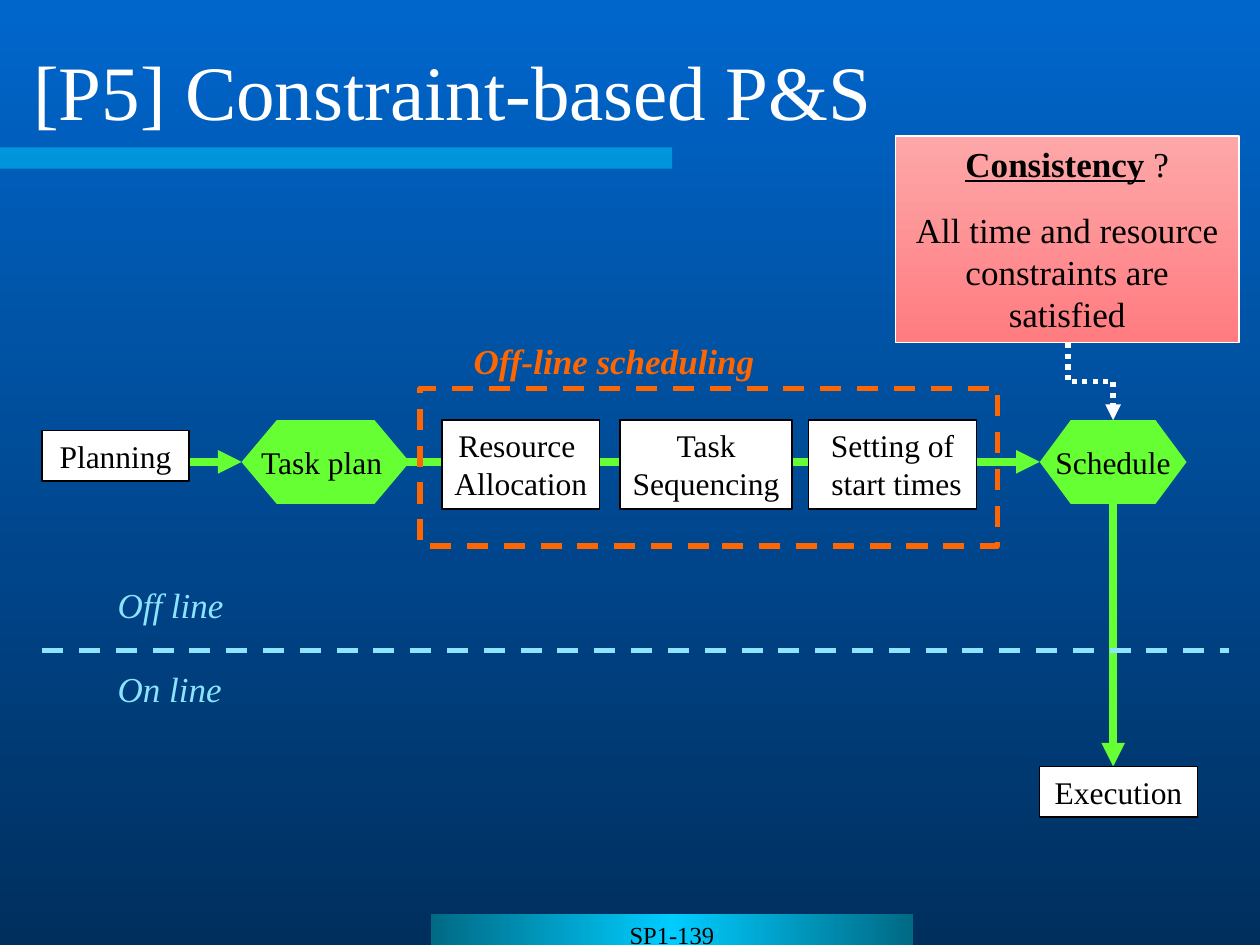
from copy import deepcopy
from dataclasses import dataclass

from lxml import etree
from pptx import Presentation
from pptx.dml.color import RGBColor
from pptx.enum.dml import MSO_LINE
from pptx.enum.shapes import MSO_CONNECTOR, MSO_SHAPE
from pptx.enum.text import MSO_ANCHOR, PP_ALIGN
from pptx.oxml.ns import qn
from pptx.util import Cm, Pt

RECT, HEXAGON = MSO_SHAPE.RECTANGLE, MSO_SHAPE.HEXAGON
STRAIGHT, ELBOW = MSO_CONNECTOR.STRAIGHT, MSO_CONNECTOR.ELBOW
DASH, DOTS = MSO_LINE.DASH, MSO_LINE.ROUND_DOT
LEFT, CENTER = PP_ALIGN.LEFT, PP_ALIGN.CENTER
TOP, MIDDLE = MSO_ANCHOR.TOP, MSO_ANCHOR.MIDDLE

FONT = "Times New Roman"
BLACK, WHITE = "000000", "FFFFFF"
GREEN, ORANGE, SKY, CYAN = "66FF33", "FF6600", "8DE4FF", "00CCFF"
FLOW_Y = 9.31
STEP_TOP, STEP_HEIGHT = 8.47, 1.79
LABEL_HEIGHT = 1.02


@dataclass(frozen=True)
class Area:
    left: float
    top: float
    width: float
    height: float

    def lengths(self) -> list:
        return [Cm(v) for v in (self.left, self.top, self.width, self.height)]


@dataclass(frozen=True)
class Activity:
    lines: tuple
    area: Area


@dataclass(frozen=True)
class Product:
    name: str
    area: Area
    slant: float


def rgb(value: str) -> RGBColor:
    return RGBColor.from_string(value)


def style(run, size: float, color: str, **formats) -> None:
    font = run.font
    font.name, font.size = FONT, Pt(size)
    font.color.rgb = rgb(color)
    for attribute, value in formats.items():
        setattr(font, attribute, value)


def write(shape, lines: tuple, size: float, color: str = BLACK, align=CENTER,
          anchor=TOP, wrap: bool = False, **formats) -> None:
    frame = shape.text_frame
    frame.word_wrap, frame.vertical_anchor = wrap, anchor
    for number, line in enumerate(lines):
        paragraph = frame.add_paragraph() if number else frame.paragraphs[0]
        paragraph.alignment = align
        run = paragraph.add_run()
        run.text = line
        style(run, size, color, **formats)


def set_gradient(fill, colors: tuple, angle: float) -> None:
    """Spread the colours evenly over the existing gradient stops."""
    fill.gradient_angle = angle
    for number, (stop, color) in enumerate(zip(fill.gradient_stops, colors)):
        stop.color.rgb = rgb(color)
        stop.position = number / (len(colors) - 1)


def add_block(slide, area: Area, kind=RECT, fill: str = "", line: str = "",
              width: float = 0.75):
    block = slide.shapes.add_shape(kind, *area.lengths())
    block.shadow.inherit = False
    if fill:
        block.fill.solid()
        block.fill.fore_color.rgb = rgb(fill)
    else:
        block.fill.background()
    if line:
        block.line.color.rgb = rgb(line)
        block.line.width = Pt(width)
    else:
        block.line.fill.background()
    return block


def add_activity(slide, activity: Activity) -> None:
    write(add_block(slide, activity.area, fill=WHITE, line=BLACK),
          activity.lines, 18)


def add_product(slide, product: Product) -> None:
    hexagon = add_block(slide, product.area, HEXAGON, GREEN)
    hexagon.adjustments[0] = product.slant
    write(hexagon, (product.name,), 18, anchor=MIDDLE)


def add_line(slide, start: tuple, end: tuple, color: str, width: float,
             kind=STRAIGHT, dash=None, arrow: bool = True):
    line = slide.shapes.add_connector(kind, *[Cm(v) for v in start + end])
    line.line.color.rgb = rgb(color)
    line.line.width = Pt(width)
    if dash is not None:
        line.line.dash_style = dash
    if arrow:
        etree.SubElement(line.line._get_or_add_ln(), qn("a:tailEnd"),
                         type="triangle")
    etree.SubElement(line._element.spPr, qn("a:effectLst"))
    return line


def add_label(slide, text: str, area: Area, size: float, color: str, **options):
    label = slide.shapes.add_textbox(*area.lengths())
    write(label, (text,), size, color, LEFT, **options)


def add_backdrop(slide) -> None:
    backdrop = slide.background.fill
    backdrop.gradient()
    set_gradient(backdrop, ("0066CC", "002F5E"), 270)

    title_bar = add_block(slide, Area(0, 2.97, 13.55, 0.43), fill=CYAN)
    bar_color = title_bar._element.spPr.find(".//" + qn("a:srgbClr"))
    etree.SubElement(bar_color, qn("a:alpha"), val="50000")

    footer = add_block(slide, Area(8.68, 18.42, 9.73, 0.63))
    footer.fill.gradient()
    stops = footer._element.spPr.find(".//" + qn("a:gsLst"))
    stops.append(deepcopy(stops[0]))
    set_gradient(footer.fill, ("006984", CYAN, "006984"), 180)
    write(footer, ("SP1-139",), 14)


def add_consistency_note(slide) -> None:
    note = add_block(slide, Area(18.05, 2.74, 6.93, 4.17), line=WHITE)
    note.fill.gradient()
    set_gradient(note.fill, ("FEA7A9", "FF7C80"), 270)
    write(note, ("Consistency", "All time and resource",
                 "constraints are satisfied"), 20, wrap=True)
    heading, condition, _ = note.text_frame.paragraphs
    style(heading.runs[0], 20, BLACK, bold=True, underline=True)
    question = heading.add_run()
    question.text = " ?"
    style(question, 20, BLACK)
    condition.space_before = Pt(14)

    # A quarter turn makes the elbow leave downwards
    pointer = add_line(slide, (21.21, 7.24), (22.76, 8.15), WHITE, 3,
                       ELBOW, DOTS)
    turn = pointer._element.spPr.find(qn("a:xfrm"))
    for attribute, value in {"rot": "16200000", "flipH": "1"}.items():
        turn.set(attribute, value)


def main() -> None:
    presentation = Presentation()
    presentation.slide_width, presentation.slide_height = Cm(25.4), Cm(19.05)
    slide = presentation.slides.add_slide(presentation.slide_layouts[6])
    add_backdrop(slide)

    add_line(slide, (22.44, 9.95), (22.44, 15.45), GREEN, 4.5)
    add_line(slide, (8.05, FLOW_Y), (20.96, FLOW_Y), GREEN, 4.5)
    add_product(slide, Product("Schedule", Area(20.96, 8.47, 2.96, 1.69), 0.37))
    for lines, left, width in (
            (("Resource ", "Allocation"), 8.91, 3.18),
            (("Setting of", " start times"), 16.3, 3.39),
            (("Task", "Sequencing"), 12.5, 3.47)):
        add_activity(slide, Activity(
            lines, Area(left, STEP_TOP, width, STEP_HEIGHT)))
    add_consistency_note(slide)

    add_product(slide, Product("Task plan ", Area(4.87, 8.47, 3.39, 1.69), 0.42))
    add_line(slide, (3.81, FLOW_Y), (4.87, FLOW_Y), GREEN, 4.5)
    for name, left, top, width in (("Planning", 0.85, 8.68, 2.96),
                                   ("Execution", 20.96, 15.45, 3.18)):
        add_activity(slide, Activity(
            (name,), Area(left, top, width, LABEL_HEIGHT)))

    add_line(slide, (0.85, 13.12), (24.77, 13.12), SKY, 3, dash=DASH,
             arrow=False)
    for phase, top in (("Off line", 11.64), ("On line", 13.34)):
        add_label(slide, phase, Area(2.12, top, 2.64, 1.11), 20, SKY,
                  italic=True)
    add_label(slide, "[P5] Constraint-based P&S", Area(0.42, 0.64, 24.56, 2.33),
              44, WHITE, anchor=MIDDLE, wrap=True)

    scheduling = add_block(slide, Area(8.47, 7.83, 11.64, 3.18), line=ORANGE,
                           width=3)
    scheduling.line.dash_style = DASH
    add_label(slide, "Off-line scheduling", Area(9.3, 6.71, 6.17, 1.11), 20,
              ORANGE, bold=True, italic=True)
    presentation.save("out.pptx")


if __name__ == "__main__":
    main()
